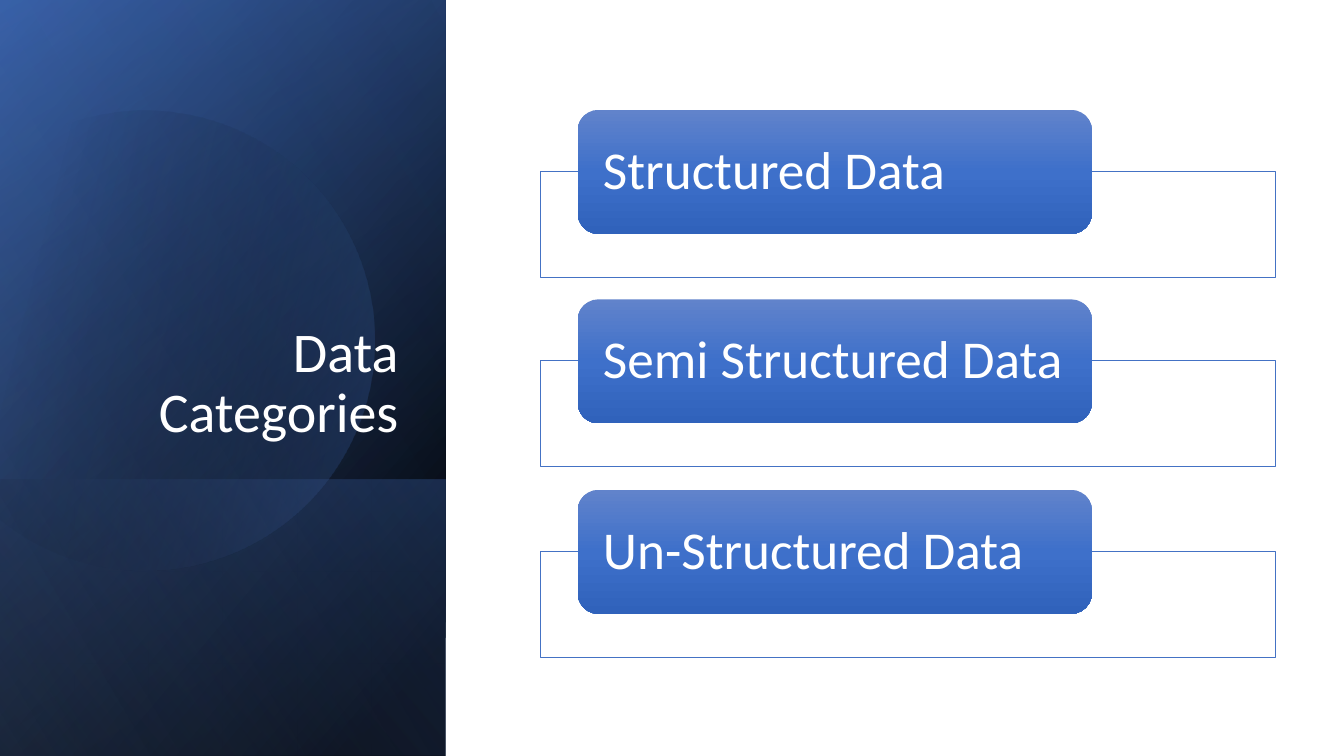
"""Build the Data Categories slide: a gradient title panel beside three cards."""
import dataclasses
import itertools
import math

import pptx
import pptx.dml.color
import pptx.enum.shapes
import pptx.enum.text
import pptx.oxml
import pptx.oxml.ns
import pptx.util

PX = 9144
SHAPE = pptx.enum.shapes.MSO_SHAPE
ANCHOR = pptx.enum.text.MSO_ANCHOR
ALIGN = pptx.enum.text.PP_ALIGN


@dataclasses.dataclass(frozen=True)
class Theme:
    font: str = "Calibri"
    title_size: int = 40
    card_size: int = 38
    white: str = "FFFFFF"
    black: str = "000000"
    accent: str = "4472C4"
    deep: str = "2F5597"
    pale: str = "8FAADC"
    button: tuple = ("6183CB", "3E70CA", "3062BB")


THEME = Theme()


def rgb(color):
    return pptx.dml.color.RGBColor.from_string(color)


def px(*lengths):
    return [pptx.util.Emu(length * PX) for length in lengths]


def set_gradient(sp, stops, angle):
    sp.fill.background()
    gs = "".join(
        f'<a:gs pos="{pos * 1000}"><a:srgbClr val="{color}">'
        f'<a:alpha val="{alpha * 1000}"/></a:srgbClr></a:gs>'
        for pos, color, alpha in stops
    )
    grad = pptx.oxml.parse_xml(
        f'<a:gradFill {pptx.oxml.ns.nsdecls("a")} rotWithShape="1">'
        f'<a:gsLst>{gs}</a:gsLst><a:lin ang="{angle * 60000}" scaled="0"/></a:gradFill>'
    )
    spPr = sp._element.spPr
    spPr.replace(spPr.find(pptx.oxml.ns.qn("a:noFill")), grad)


def set_text(sp, text, size, anchor, align):
    tf = sp.text_frame
    tf.word_wrap = True
    tf.vertical_anchor = anchor
    p = tf.paragraphs[0]
    p.text = text
    p.alignment = align
    p.line_spacing = 0.9
    p.font.name = THEME.font
    p.font.size = pptx.util.Pt(size)
    p.font.color.rgb = rgb(THEME.white)
    return p


def add_shape(s, kind, box):
    sp = s.shapes.add_shape(kind, *px(*box))
    sp.shadow.inherit = False
    sp.line.fill.background()
    return sp


def add_panel(s, box, stops, angle):
    sp = add_shape(s, SHAPE.RECTANGLE, box)
    sp.rotation = 90
    sp._element.spPr.xfrm.set("flipH", "1")
    set_gradient(sp, stops, angle)


def arc_points(cx, cy, radius, angles):
    def at(angle, tangent=0.0):
        c, n = math.cos(angle), math.sin(angle)
        return (round((cx + radius * (c - tangent * n)) * PX),
                round((cy + radius * (n + tangent * c)) * PX))

    points = [at(math.radians(angles[0]))]
    for a, b in itertools.pairwise(map(math.radians, angles)):
        handle = 4 / 3 * math.tan((b - a) / 4)
        points += [at(a, handle), at(b, -handle), at(b)]
    return points


def curve_lines(sp):
    qn = pptx.oxml.ns.qn
    lines = list(sp._element.iter(qn("a:lnTo")))
    for i in range(0, len(lines), 3):
        curve = lines[i].makeelement(qn("a:cubicBezTo"))
        lines[i].addprevious(curve)
        for line in lines[i:i + 3]:
            curve.append(line[0])
            line.getparent().remove(line)


def add_cut_circle(s, cx, cy, radius, angles, rotation):
    points = arc_points(cx, cy, radius, angles)
    builder = s.shapes.build_freeform(*points[0])
    builder.add_line_segments(points[1:], close=True)
    sp = builder.convert_to_shape()
    curve_lines(sp)
    sp.shadow.inherit = False
    sp.line.fill.background()
    sp.rotation = rotation
    set_gradient(sp, [(29, THEME.black, 0), (100, THEME.accent, 43)], 30)


def add_title(s, text):
    sp = s.shapes.add_textbox(*px(64, 184, 341, 262))
    p = set_text(sp, text, THEME.title_size, ANCHOR.BOTTOM, ALIGN.RIGHT)
    p.space_after = pptx.util.Pt(6)


def add_card(s, top, text):
    frame = add_shape(s, SHAPE.RECTANGLE, (536, top + 61, 729, 105))
    frame.fill.solid()
    frame.fill.fore_color.rgb = rgb(THEME.white)
    frame.line.color.rgb = rgb(THEME.accent)
    frame.line.width = pptx.util.Pt(0.5)

    button = add_shape(s, SHAPE.ROUNDED_RECTANGLE, (573, top, 510, 123))
    set_gradient(button, [(i * 50, c, 100) for i, c in enumerate(THEME.button)], 90)

    label = s.shapes.add_textbox(*px(579, top + 6, 498, 111))
    set_text(label, text, THEME.card_size, ANCHOR.MIDDLE, ALIGN.LEFT)
    tf = label.text_frame
    tf.margin_left, tf.margin_top, tf.margin_right, tf.margin_bottom = px(19, 0, 19, 0)


def main():
    prs = pptx.Presentation()
    prs.slide_width, prs.slide_height = px(1333, 750)
    s = prs.slides.add_slide(prs.slide_layouts[6])

    full = (-154, 154, 750, 442)
    add_panel(s, full, [(8, THEME.black, 100), (100, THEME.deep, 100)], 50)
    add_panel(s, full, [(0, THEME.black, 0), (99, THEME.accent, 46)], 30)
    add_panel(s, (84, 392, 274, 442),
              [(2, THEME.accent, 29), (100, THEME.black, 30)], 130)
    add_cut_circle(s, 143, 334, 228, (-118, -90, 0, 90, 150), 343.9)
    add_panel(s, full, [(0, THEME.black, 0), (99, THEME.pale, 11)], 120)

    add_title(s, "Data Categories")
    categories = ["Structured Data", "Semi Structured Data", "Un-Structured Data"]
    for i, category in enumerate(categories):
        add_card(s, 109 + i * 377 // 2, category)
    prs.save("out.pptx")


if __name__ == "__main__":
    main()
